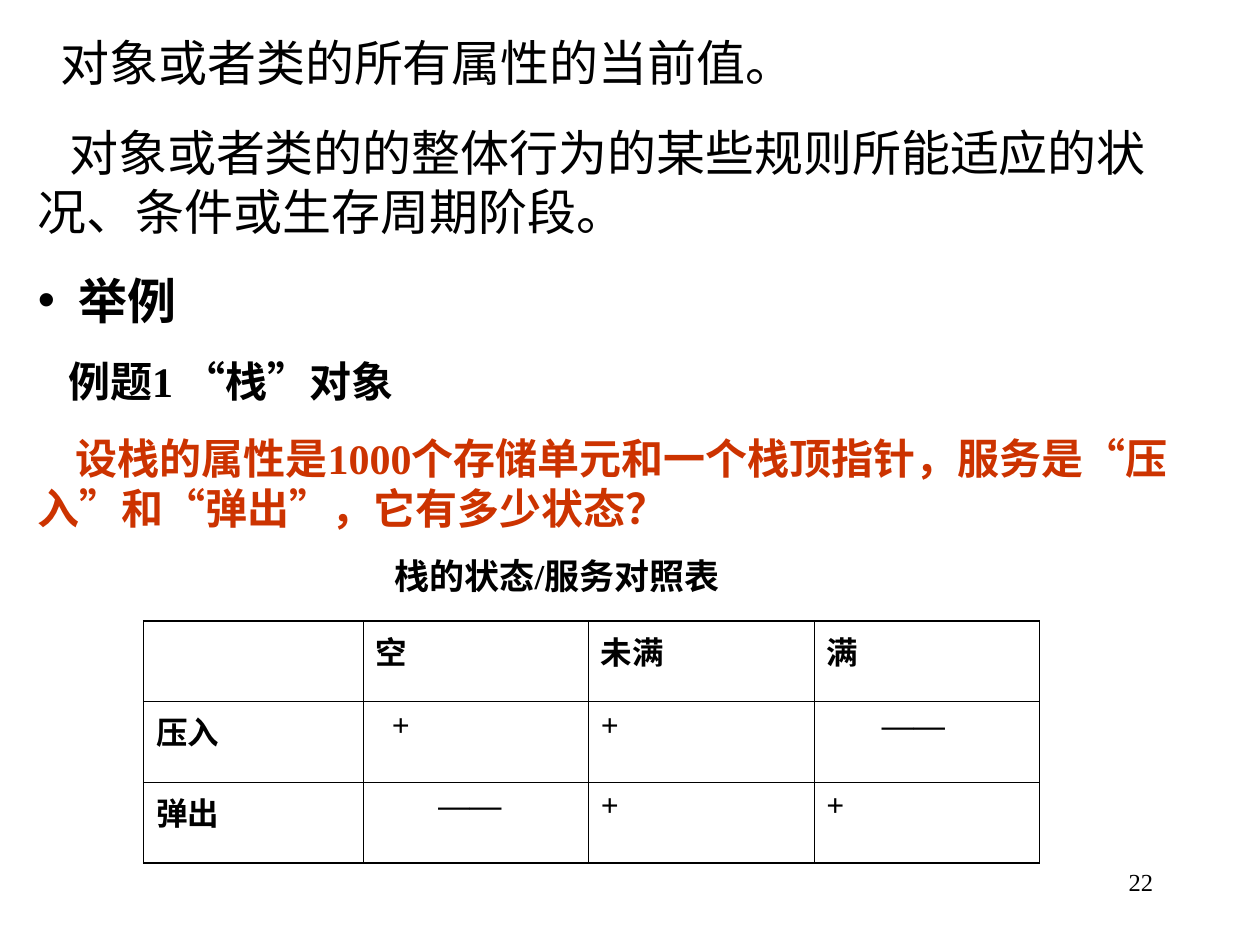
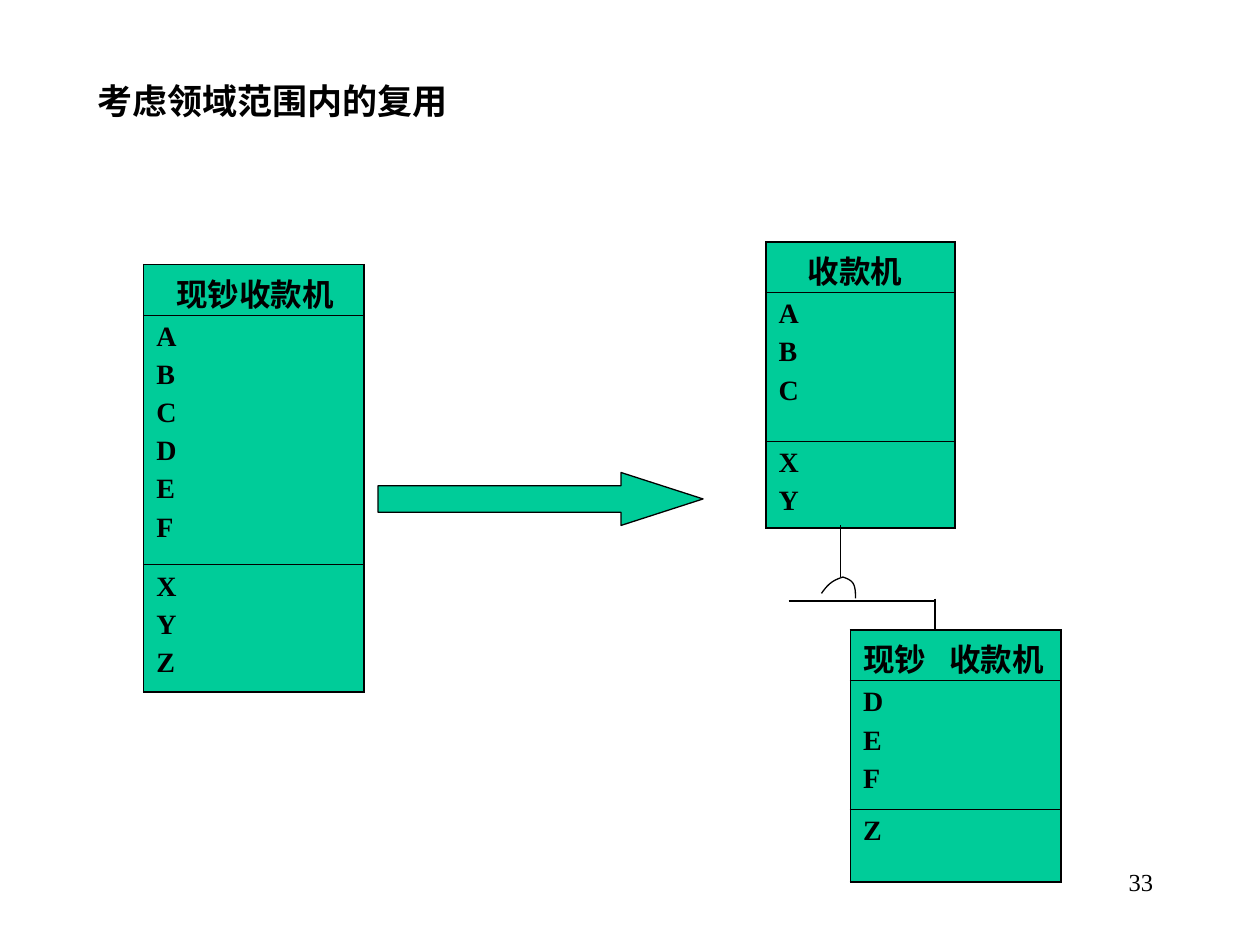
"""Build two slides on object states and on reuse across a domain."""
from lxml import etree
from pptx import Presentation, util as u
from pptx.dml.color import RGBColor
from pptx.enum import lang, shapes, text
from pptx.oxml.ns import qn

BLACK, RED, GREEN = "000000", "CC3300", "00CC99"
OUTER, INNER, STROKE = 1.08, 0.45, 0.75
FRAME = dict(word_wrap=True, auto_size=text.MSO_AUTO_SIZE.NONE,
             vertical_anchor=text.MSO_ANCHOR.TOP,
             margin_left=u.Inches(0.1), margin_right=u.Inches(0.1),
             margin_top=u.Inches(0.05), margin_bottom=u.Inches(0.05))
CLASS_NAME = dict(margin_top=u.Inches(0.04), margin_bottom=u.Inches(0))


def paint(fill, colour):
    fill.solid()
    fill.fore_color.rgb = RGBColor.from_string(colour)


def write(frame, lines, spacing=0.0, align=text.PP_ALIGN.LEFT):
    for number, line in enumerate(lines):
        paragraph = frame.paragraphs[0] if number == 0 else frame.add_paragraph()
        bullet, gap = line.get("bullet"), line.get("gap")
        indent = u.Inches(line.get("indent", 0))
        props = paragraph._p.get_or_add_pPr()
        props.set("marL", str(indent if bullet else 0))
        props.set("indent", str(-indent if bullet else indent))
        props.set("hangingPunct", "0")
        if bullet:
            etree.SubElement(props, qn("a:buChar"), char=bullet)
        else:
            etree.SubElement(props, qn("a:buNone"))
        size = line["size"]
        paragraph.space_before = u.Pt(size * spacing if number else 0)
        paragraph.alignment = align
        style = dict(name="Times New Roman", size=u.Pt(size), bold=line.get("bold", True),
                     language_id=lang.MSO_LANGUAGE_ID.SIMPLIFIED_CHINESE)
        for piece in line["text"].partition(" ") if gap else [line["text"]]:
            run = paragraph.add_run()
            run.text = piece
            for key, value in style.items():
                setattr(run.font, key, value)
            paint(run.font.fill, line.get("colour", BLACK))
            if piece == " ":
                run._r.get_or_add_rPr().set("spc", str(gap * 100))


deck = Presentation()
deck.slide_width, deck.slide_height = u.Inches(10), u.Inches(7.5)
states = deck.slides.add_slide(deck.slide_layouts[1])
reuse = deck.slides.add_slide(deck.slide_layouts[5])

unused_title = states.shapes.title._element
unused_title.getparent().remove(unused_title)

definitions = [
    dict(text="对象或者类的所有属性的当前值。", size=28, bold=False, indent=0.18),
    dict(text="对象或者类的的整体行为的某些规则所能适应的状况、条件或生存周期阶段。",
         size=28, bold=False, indent=0.25),
    dict(text="举例", size=28, indent=0.32, bullet="•"),
    dict(text="例题1 “栈”对象", size=24, indent=0.24),
    dict(text="设栈的属性是1000个存储单元和一个栈顶指针，服务是“压入”和“弹出”，它有多少状态？",
         size=24, indent=0.3, colour=RED),
    dict(text="栈的状态/服务对照表", size=20, indent=2.83),
]
heading = [dict(text="考虑领域范围内的复用", size=20)]

for holder, place, lines in (
        (states.placeholders[1], (0.2, 0.21, 9.61, 4.58), definitions),
        (reuse.shapes.title, (0.67, 0.58, 8.25, 0.44), heading)):
    holder.left, holder.top, holder.width, holder.height = map(u.Inches, place)
    for key, value in FRAME.items():
        setattr(holder.text_frame, key, value)
    write(holder.text_frame, lines, spacing=0.625)

tables = [
    dict(slide=states, at=(1.14, 4.93), cols=[1.74, 1.79, 1.79, 1.79], rows=[0.64] * 3,
         cells=[["", "空", "未满", "满"], ["压入", "+", "+", "——"], ["弹出", "——", "+", "+"]],
         indents={(1, 1): 0.13, (1, 3): 0.44, (2, 1): 0.5}),
    dict(slide=reuse, at=(1.14, 2.1), cols=[1.75], rows=[0.4, 1.98, 1.01], fill=GREEN,
         cells=[["现钞收款机"], ["A\nB\nC\nD\nE\nF"], ["X\nY\nZ"]], indents={(0, 0): 0.16}),
    dict(slide=reuse, at=(6.08, 1.92), cols=[1.5], rows=[0.4, 1.18, 0.69], fill=GREEN,
         cells=[["收款机"], ["A\nB\nC"], ["X\nY"]], indents={(0, 0): 0.23}),
    dict(slide=reuse, at=(6.75, 5), cols=[1.67], rows=[0.4, 1.02, 0.58], fill=GREEN,
         cells=[["现钞 收款机"], ["D\nE\nF"], ["Z"]], indents={}, gap=9),
]

for entry in tables:
    cols, rows, fill = entry["cols"], entry["rows"], entry.get("fill")
    place = map(u.Inches, (*entry["at"], sum(cols), sum(rows)))
    grid = entry["slide"].shapes.add_table(len(rows), len(cols), *place).table
    grid.first_row = grid.horz_banding = False
    for column, width in zip(grid.columns, cols):
        column.width = u.Inches(width)
    for r, height in enumerate(rows):
        grid.rows[r].height = u.Inches(height)
        for c, content in enumerate(entry["cells"][r]):
            cell = grid.cell(r, c)
            edges = dict(lnL=c == 0, lnR=c == len(cols) - 1,
                         lnT=r == 0, lnB=r == len(rows) - 1)
            cell_props = cell._tc.get_or_add_tcPr()
            for edge, is_outer in edges.items():
                border = etree.SubElement(cell_props, qn(f"a:{edge}"),
                                          w=str(u.Pt(OUTER if is_outer else INNER)))
                ink = etree.SubElement(border, qn("a:solidFill"))
                etree.SubElement(ink, qn("a:srgbClr"), val=BLACK)
            if fill:
                paint(cell.fill, fill)
            else:
                cell.fill.background()
            if fill and r == 0:
                for key, value in CLASS_NAME.items():
                    setattr(cell, key, value)
            if content:
                size = 16 if fill and r else 18
                write(cell.text_frame, [
                    dict(text=member, size=size, indent=entry["indents"].get((r, c), 0),
                         gap=entry.get("gap") if r == 0 else None)
                    for member in content.split("\n")], spacing=0.25)

for ends in ((6.67, 4.17, 6.67, 4.58), (6.26, 4.77, 7.43, 4.77), (7.42, 4.75, 7.42, 5)):
    link = reuse.shapes.add_connector(shapes.MSO_CONNECTOR.STRAIGHT, *map(u.Inches, ends))
    link.line.width = u.Pt(STROKE)
    paint(link.line.fill, BLACK)
    etree.SubElement(link._element.spPr, qn("a:effectLst"))

curves = [((6.52, 4.71), (6.57, 4.64), (6.6, 4.61), (6.69, 4.58)),
          ((6.69, 4.58), (6.78, 4.61), (6.79, 4.64), (6.79, 4.75))]
STEPS = 12
arc = []
for curve in curves:
    for step in range(1, STEPS + 1):
        t = step / STEPS
        weights = ((1 - t) ** 3, 3 * t * (1 - t) ** 2, 3 * t ** 2 * (1 - t), t ** 3)
        arc.append([u.Inches(sum(w * point[axis] for w, point in zip(weights, curve)))
                    for axis in (0, 1)])
outline = reuse.shapes.build_freeform(*map(u.Inches, curves[0][0]))
outline.add_line_segments(arc, close=False)
inheritance = outline.convert_to_shape()
inheritance.fill.background()

arrow = reuse.shapes.add_shape(shapes.MSO_SHAPE.RIGHT_ARROW,
                               *map(u.Inches, (3, 3.75, 2.58, 0.42)))
arrow.adjustments[0], arrow.adjustments[1] = 0.5, 1.55
paint(arrow.fill, GREEN)
for figure in (inheritance, arrow):
    figure.shadow.inherit = False
    figure.line.width = u.Pt(STROKE)
    paint(figure.line.fill, BLACK)

for slide, page in ((states, "22"), (reuse, "33")):
    footer = slide.shapes.add_textbox(*map(u.Inches, (7.17, 6.83, 2.08, 0.5))).text_frame
    for key, value in FRAME.items():
        setattr(footer, key, value)
    write(footer, [dict(text=page, size=14, bold=False)], align=text.PP_ALIGN.RIGHT)

deck.save("out.pptx")
